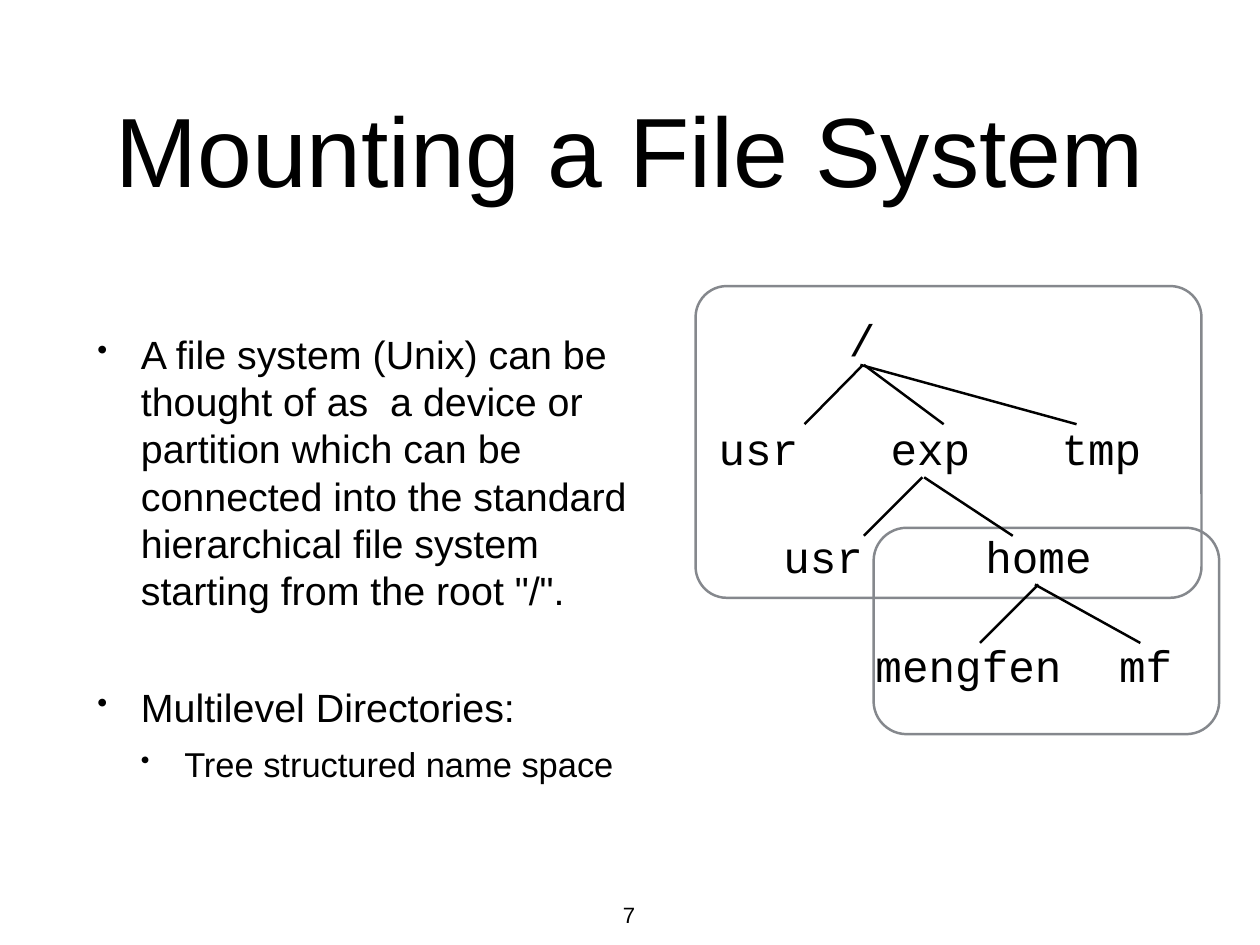
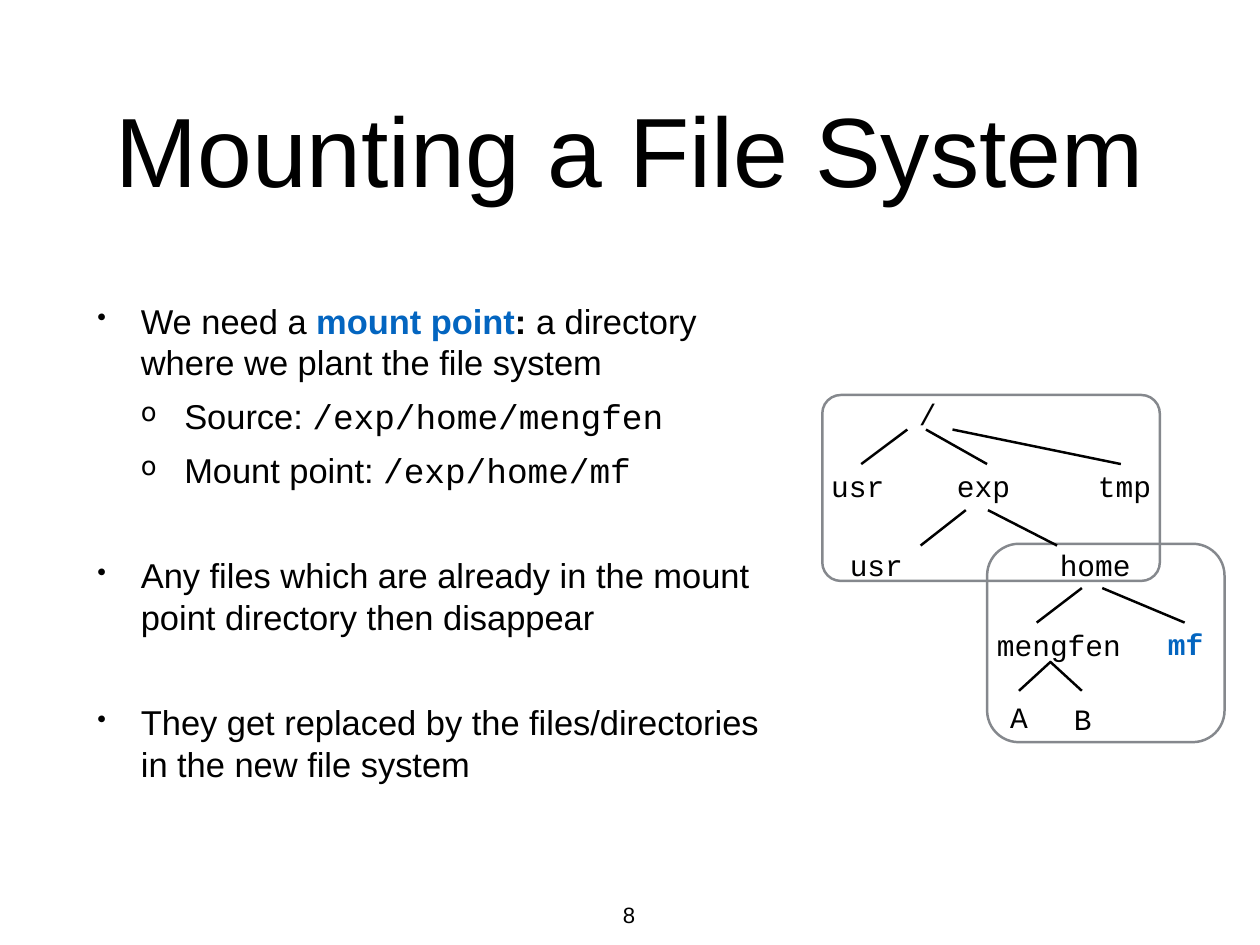
from dataclasses import dataclass

import pptx
import pptx.dml.color
import pptx.enum.shapes
import pptx.enum.text
import pptx.oxml.xmlchemy
import pptx.util
from pptx.util import Inches

ANCHOR = pptx.enum.text.MSO_ANCHOR
ALIGN = pptx.enum.text.PP_ALIGN


@dataclass(frozen=True)
class Theme:
    ink: str = "000000"
    accent: str = "0365C0"
    frame: str = "85888D"
    sans: str = "Arial"
    mono: str = "Courier New"
    title_size: float = 80
    lead_size: float = 32
    body_size: float = 28
    number_size: float = 18
    large_tree_size: float = 36
    small_tree_size: float = 24
    line_width: float = 2
    inset: float = 0.06
    indent: float = 0.49
    space_before: float = 10
    bullet_percent: int = 75


THEME = Theme()


@dataclass(frozen=True)
class Span:
    text: str
    font: str = THEME.sans
    color: str = THEME.ink
    bold: bool = False


@dataclass(frozen=True)
class Para:
    spans: tuple[Span, ...]
    size: float
    level: int = 0
    bullet: str = ""
    before: float = 0


@dataclass(frozen=True)
class Box:
    left: float
    top: float
    width: float
    height: float


@dataclass(frozen=True)
class Node:
    label: str
    x: float
    y: float
    color: str = THEME.ink
    bold: bool = False


@dataclass(frozen=True)
class Branch:
    """Lines fanning out from one directory: (start x, end x) pairs."""
    top: float
    bottom: float
    lines: tuple[tuple[float, float], ...]


@dataclass(frozen=True)
class Volume:
    """Rounded outline around one file system."""
    box: Box
    rounding: float


@dataclass(frozen=True)
class Tree:
    size: float
    nodes: tuple[Node, ...]
    branches: tuple[Branch, ...]
    volumes: tuple[Volume, ...]


def rgb(color: str) -> pptx.dml.color.RGBColor:
    return pptx.dml.color.RGBColor.from_string(color)


def set_bullet(paragraph, para: Para) -> None:
    props = paragraph._p.get_or_add_pPr()
    props.set("marL", str(Inches(THEME.indent * (para.level + 1))))
    props.set("indent", str(-Inches(THEME.indent)))
    size = pptx.oxml.xmlchemy.OxmlElement("a:buSzPct")
    size.set("val", str(THEME.bullet_percent * 1000))
    char = pptx.oxml.xmlchemy.OxmlElement("a:buChar")
    char.set("char", para.bullet)
    props.extend((size, char))


def add_text(slide, paras: list[Para], box: Box, *, align=ALIGN.CENTER,
             anchor=ANCHOR.MIDDLE, wrap: bool = True) -> None:
    frame = slide.shapes.add_textbox(
        Inches(box.left), Inches(box.top), Inches(box.width), Inches(box.height)).text_frame
    frame.word_wrap = wrap
    frame.vertical_anchor = anchor
    frame.margin_left = frame.margin_right = Inches(THEME.inset)
    frame.margin_top = frame.margin_bottom = Inches(THEME.inset)
    for index, para in enumerate(paras):
        paragraph = frame.add_paragraph() if index else frame.paragraphs[0]
        paragraph.alignment = align
        paragraph.level = para.level
        paragraph.space_before = pptx.util.Pt(para.before)
        if para.bullet:
            set_bullet(paragraph, para)
        for span in para.spans:
            run = paragraph.add_run()
            run.text = span.text
            run.font.name = span.font
            run.font.size = pptx.util.Pt(para.size)
            run.font.bold = span.bold
            run.font.color.rgb = rgb(span.color)


def style_line(line, color: str) -> None:
    line.color.rgb = rgb(color)
    line.width = pptx.util.Pt(THEME.line_width)


def add_volume(slide, volume: Volume) -> None:
    box = volume.box
    outline = slide.shapes.add_shape(
        pptx.enum.shapes.MSO_SHAPE.ROUNDED_RECTANGLE,
        Inches(box.left), Inches(box.top), Inches(box.width), Inches(box.height))
    outline.adjustments[0] = volume.rounding
    outline.shadow.inherit = False
    outline.fill.background()
    style_line(outline.line, THEME.frame)


def add_branch(slide, branch: Branch) -> None:
    for start, end in branch.lines:
        edge = slide.shapes.add_connector(
            pptx.enum.shapes.MSO_CONNECTOR.STRAIGHT,
            Inches(start), Inches(branch.top), Inches(end), Inches(branch.bottom))
        style_line(edge.line, THEME.ink)
        edge._element.spPr.append(pptx.oxml.xmlchemy.OxmlElement("a:effectLst"))


def add_node(slide, node: Node, size: float) -> None:
    # Monospaced glyphs are 0.6 em wide; the box hugs the label
    width = len(node.label) * 0.6 * size / 72 + 2 * THEME.inset
    height = 1.13 * size / 72 + 2 * THEME.inset
    span = Span(node.label, THEME.mono, node.color, node.bold)
    add_text(slide, [Para((span,), size)],
             Box(node.x - width / 2, node.y - height / 2, width, height), wrap=False)


def add_tree(slide, tree: Tree) -> None:
    for volume in tree.volumes:
        add_volume(slide, volume)
    for branch in tree.branches:
        add_branch(slide, branch)
    for node in tree.nodes:
        add_node(slide, node, tree.size)


def item(*spans: Span, size: float = THEME.body_size, level: int = 0, bullet: str = "•",
         gap: bool = False) -> Para:
    # A gap leaves one line of the item's own size above it
    before = THEME.space_before + (THEME.space_before + 1.15 * size if gap else 0)
    return Para(spans, size, level, bullet, before)


def add_page(deck, number: int, items: list[Para], body: Box, tree: Tree) -> None:
    slide = deck.slides.add_slide(deck.slide_layouts[6])
    add_text(slide, [Para((Span("Mounting a File System"),), THEME.title_size)],
             Box(1.04, 0.49, 12.14, 2.36))
    add_text(slide, items, body, align=ALIGN.LEFT)
    add_text(slide, [Para((Span(str(number)),), THEME.number_size)],
             Box(6.9, 10.12, 0.4, 0.42), anchor=ANCHOR.TOP, wrap=False)
    add_tree(slide, tree)


# Page 7: what a file system is
CONCEPT_ITEMS = [
    item(Span("A file system (Unix) can be thought of as  a device or partition which can be "
              "connected into the standard hierarchical file system starting from the root "
              "\"/\"."), size=THEME.lead_size),
    item(Span("Multilevel Directories:"), size=THEME.lead_size, gap=True),
    item(Span("Tree structured name space"), level=1),
]
CONCEPT_TREE = Tree(
    size=THEME.large_tree_size,
    nodes=(
        Node("/", 9.73, 3.83),
        Node("usr", 8.56, 5.06), Node("exp", 10.5, 5.06), Node("tmp", 12.43, 5.06),
        Node("usr", 9.29, 6.28), Node("home", 11.72, 6.28),
        Node("mengfen", 10.93, 7.51), Node("mf", 12.93, 7.51),
    ),
    branches=(
        Branch(4.12, 4.79, ((9.74, 9.08), (9.75, 10.65), (9.71, 12.15))),
        Branch(5.39, 6.05, ((10.41, 9.75), (10.43, 11.43))),
        Branch(6.6, 7.26, ((11.72, 11.06), (11.68, 12.87))),
    ),
    volumes=(Volume(Box(9.86, 5.96, 3.9, 2.33), 0.16),
             Volume(Box(7.85, 3.23, 5.71, 3.52), 0.1)),
)

# Page 8: mounting at a directory
MOUNT_ITEMS = [
    item(Span("We need a "), Span("mount point", color=THEME.accent, bold=True),
         Span(": ", bold=True), Span("a directory where we plant the file system")),
    item(Span("Source: "), Span("/exp/home/mengfen", THEME.mono), level=1, bullet="o"),
    item(Span("Mount point: "), Span("/exp/home/mf", THEME.mono), level=1, bullet="o"),
    item(Span("Any files which are already in the mount point directory then disappear"),
         gap=True),
    item(Span("They get replaced by the files/directories in the new file system"), gap=True),
]
MOUNT_TREE = Tree(
    size=THEME.small_tree_size,
    nodes=(
        Node("/", 10.47, 4.67),
        Node("usr", 9.68, 5.48), Node("exp", 11.1, 5.48), Node("tmp", 12.69, 5.48),
        Node("usr", 9.89, 6.38), Node("home", 12.36, 6.38),
        Node("mengfen", 11.95, 7.28), Node("mf", 13.38, 7.27, THEME.accent, True),
        Node("A", 11.5, 8.09), Node("B", 12.22, 8.11),
    ),
    branches=(
        Branch(4.85, 5.24, ((10.24, 9.72), (10.45, 11.14), (10.75, 12.65))),
        Branch(5.76, 6.16, ((10.9, 10.39), (11.15, 11.93))),
        Branch(6.64, 7.03, ((12.21, 11.7), (12.44, 13.37))),
        Branch(7.47, 7.8, ((11.86, 11.5), (11.85, 12.21))),
    ),
    volumes=(Volume(Box(11.14, 6.14, 2.68, 2.24), 0.16),
             Volume(Box(9.28, 4.46, 3.81, 2.1), 0.1)),
)


def main() -> None:
    deck = pptx.Presentation()
    deck.slide_width, deck.slide_height = Inches(14.22), Inches(10.67)
    add_page(deck, 7, CONCEPT_ITEMS, Box(1.04, 2.85, 6.26, 6.88), CONCEPT_TREE)
    add_page(deck, 8, MOUNT_ITEMS, Box(1.04, 2.85, 7.86, 6.54), MOUNT_TREE)
    deck.save("out.pptx")


if __name__ == "__main__":
    main()
